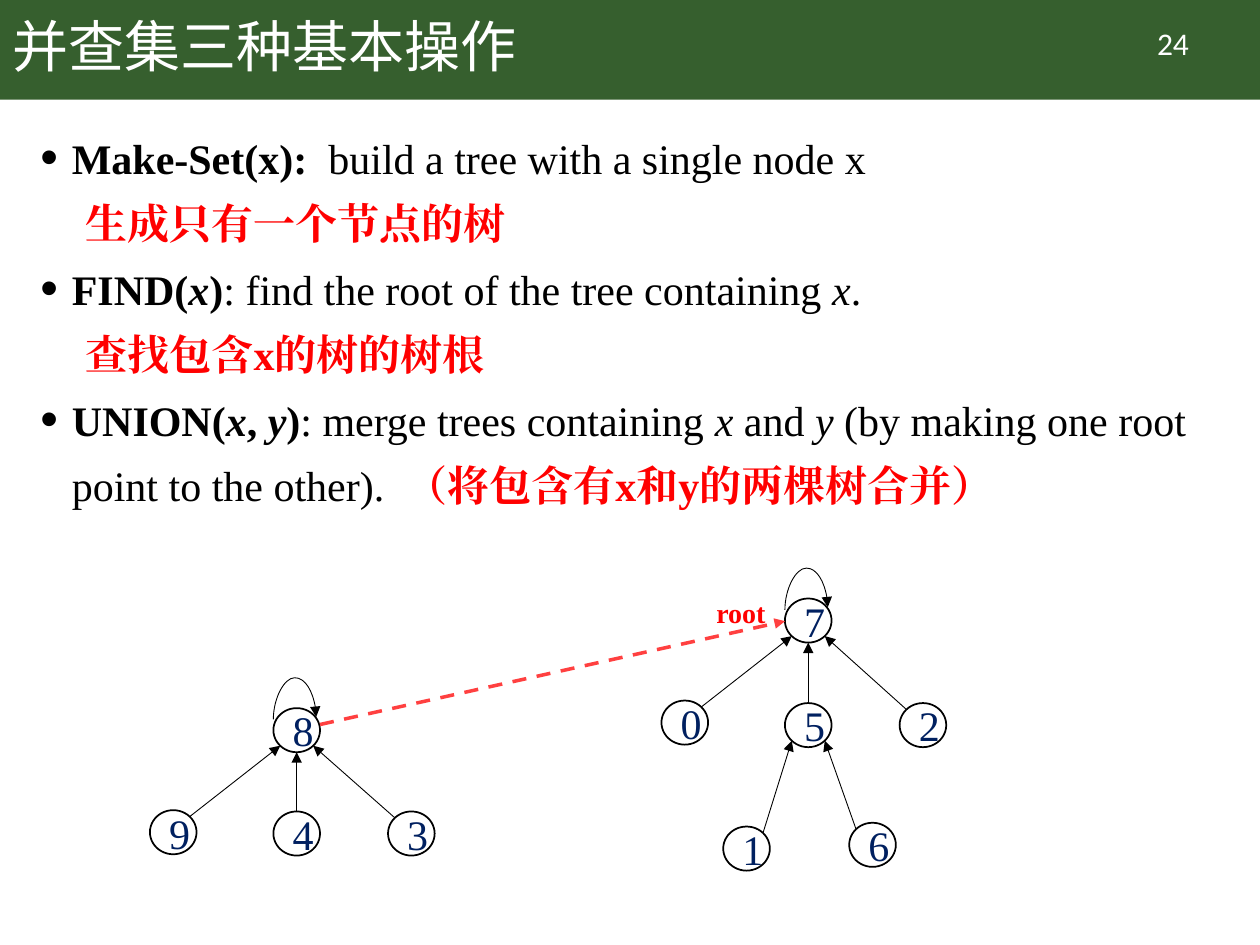
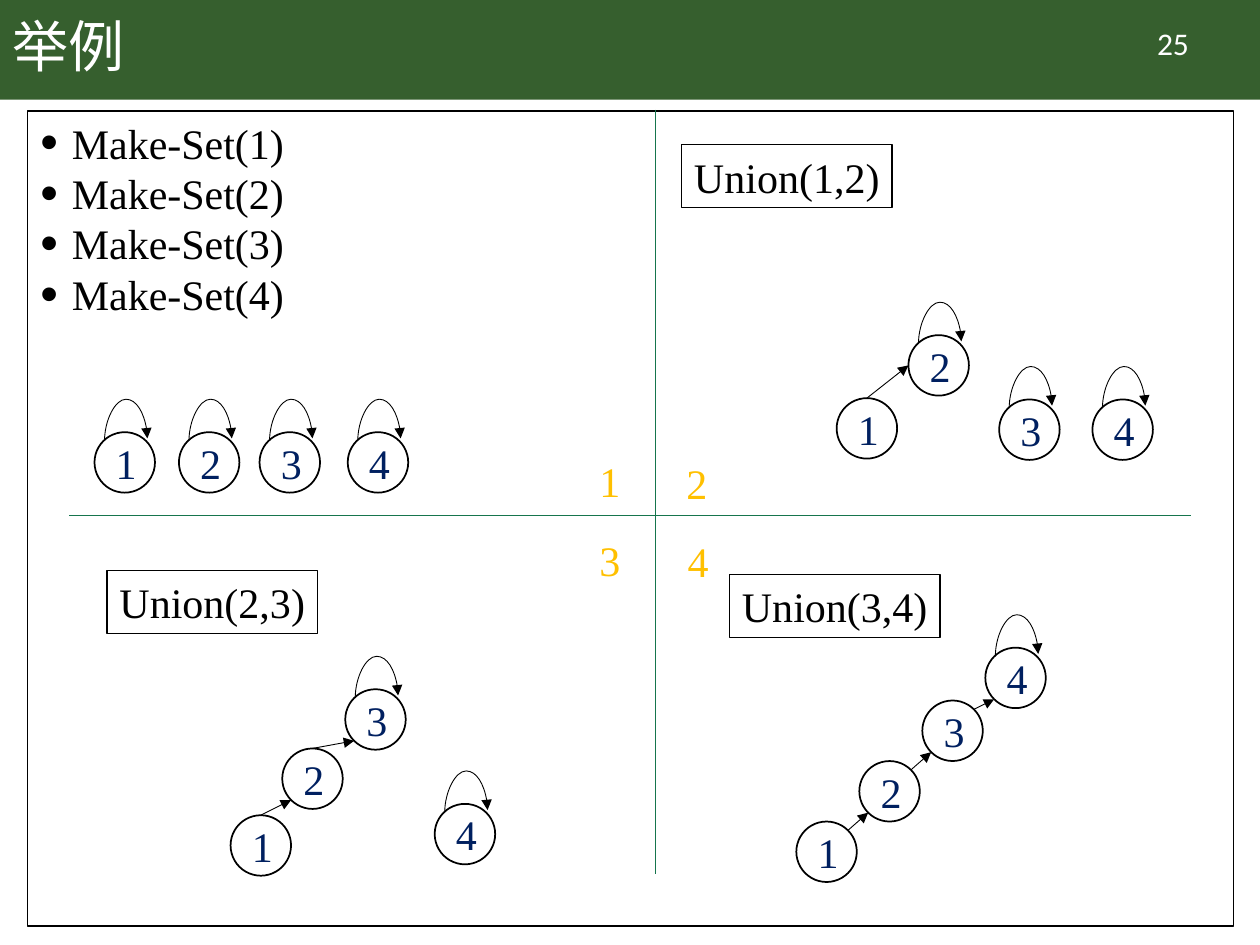
"""Builds two slides on the basic operations of disjoint-set trees."""
from dataclasses import dataclass

from lxml.etree import SubElement
from pptx import Presentation
from pptx.dml.color import RGBColor
from pptx.enum.dml import MSO_LINE
from pptx.enum.shapes import MSO_CONNECTOR, MSO_SHAPE
from pptx.enum.text import MSO_ANCHOR, MSO_AUTO_SIZE, PP_ALIGN
from pptx.oxml.ns import qn
from pptx.util import Inches, Pt


@dataclass(frozen=True)
class Theme:
    band: str = "365F2E"
    white: str = "FFFFFF"
    ink: str = "000000"
    red: str = "FF0000"
    link: str = "FF4040"
    node: str = "002060"
    divider: str = "16754D"
    quadrant: str = "FFC000"
    title_font: str = "Noto Sans CJK SC"
    text_font: str = "Times New Roman"
    number_font: str = "Calibri"
    title_size: int = 32
    text_size: int = 24
    number_size: int = 18
    root_size: int = 16


THEME = Theme()

TITLE_BOX = (0, 0, 8.62, 0.79)
BAND_BOX = (0, 0, 10, 0.79)
BODY_BOX = (0.22, 0.88, 9.57, 6.47)
NUMBER_BOX = (8.71, 0.14, 1.2, 0.4)

OPERATIONS = [
    (True, [("Make-Set(x):  ", "b"), ("build a tree with a single node x", "")]),
    (False, [("生成只有一个节点的树", "br")]),
    (True, [("FIND(", "b"), ("x", "bi"), (")", "b"),
            (": find the root of the tree containing ", ""), ("x", "i"), (".", "")]),
    (False, [("查找包含x的树的树根", "br")]),
    (True, [("UNION(", "b"), ("x", "bi"), (", ", "b"), ("y", "bi"), (")", "b"),
            (": merge trees containing ", ""), ("x ", "i"), ("and ", ""), ("y ", "i"),
            ("(by making one root point to the other).  ", ""),
            ("（将包含有x和y的两棵树合并）", "br")]),
]
MAKE_SETS = [(True, [(f"Make-Set({item})", "")]) for item in range(1, 5)]

SMALL_NODE = {"size": (0.37, 0.35), "loop": (0, 0.09)}
LARGE_NODE = {"size": (0.48, 0.48), "loop": (0.08, 0.07)}

MERGED_FORESTS = [
    {"nodes": {"8": (2.17, 5.62), "9": (1.19, 6.43), "4": (2.17, 6.44), "3": (3.08, 6.44)},
     "roots": "8",
     "edges": [("9", "ne", "8", "sw"), ("4", "n", "8", "s"), ("3", "nw", "8", "se")]},
    {"nodes": {"7": (6.23, 4.75), "0": (5.25, 5.56), "5": (6.23, 5.58),
               "2": (7.14, 5.58), "1": (5.74, 6.56), "6": (6.74, 6.53)},
     "roots": "7",
     "edges": [("0", "ne", "7", "sw"), ("5", "n", "7", "s"), ("2", "nw", "7", "se"),
               ("1", "ne", "5", "sw"), ("6", "nw", "5", "se")]},
]
UNION_LINK = ((2.54, 5.75), (6.23, 4.93))
ROOT_BOX = (5.58, 4.68, 0.6, 0.37)

EXAMPLE_FORESTS = [
    {"nodes": {"1": (0.75, 3.43), "2": (1.42, 3.43), "3": (2.06, 3.43), "4": (2.76, 3.43)},
     "roots": "1234", "edges": []},
    {"nodes": {"1": (6.64, 3.16), "2": (7.21, 2.66), "3": (7.93, 3.17), "4": (8.67, 3.17)},
     "roots": "234", "edges": [("1", "n", "2", "w")]},
    {"nodes": {"1": (1.83, 6.47), "2": (2.24, 5.94), "3": (2.74, 5.47), "4": (3.45, 6.38)},
     "roots": "34", "edges": [("1", "n", "2", "sw"), ("2", "n", "3", "sw")]},
    {"nodes": {"1": (6.32, 6.52), "2": (6.82, 6.04), "3": (7.32, 5.56), "4": (7.82, 5.14)},
     "roots": "4",
     "edges": [("1", "ne", "2", "sw"), ("2", "ne", "3", "sw"), ("3", "ne", "4", "sw")]},
]
UNION_LABELS = [("Union(1,2)", (5.41, 1.15)), ("Union(2,3)", (0.85, 4.53)),
                ("Union(3,4)", (5.79, 4.56))]
QUADRANTS = [("1", (4.66, 3.49)), ("2", (5.35, 3.5)), ("3", (4.66, 4.11)), ("4", (5.36, 4.12))]
DIVIDERS = [((0.55, 4.09), (9.45, 4.09)), ((5.2, 0.87), (5.2, 6.94))]


def color(code):
    """Turns a hex code into a colour."""
    return RGBColor.from_string(code)


def inches(values):
    """Turns numbers into lengths."""
    return [Inches(value) for value in values]


def place(shape, area):
    """Moves and sizes a placeholder."""
    shape.left, shape.top, shape.width, shape.height = inches(area)


def style(para, size=THEME.text_size, code=THEME.ink, name=THEME.text_font, bold=False):
    """Sets the font of a paragraph for Latin and Chinese text."""
    font = para.font
    font.size, font.name, font.bold = Pt(size), name, bold
    font.color.rgb = color(code)
    properties = para._p.pPr.find(qn("a:defRPr"))
    SubElement(properties, qn("a:ea")).set("typeface", name)


def set_indent(para, bulleted):
    """Gives a paragraph a hanging bullet or a plain indent."""
    properties = para._p.get_or_add_pPr()
    properties.set("marL", str(Inches(0.25 if bulleted else 0.36)))
    properties.set("indent", str(Inches(-0.25 if bulleted else 0)))
    if not bulleted:
        SubElement(properties, qn("a:buNone"))
        return
    tint = SubElement(properties, qn("a:buClr"))
    SubElement(tint, qn("a:srgbClr")).set("val", THEME.ink)
    SubElement(properties, qn("a:buSzPct")).set("val", "120000")
    SubElement(properties, qn("a:buChar")).set("char", "•")


def fill_body(body, lines, spacing):
    """Writes the list of a slide into its body placeholder."""
    place(body, BODY_BOX)
    frame = body.text_frame
    frame.auto_size = MSO_AUTO_SIZE.NONE
    for index, (bulleted, spans) in enumerate(lines):
        para = frame.add_paragraph() if index else frame.paragraphs[0]
        para.line_spacing, para.space_before = spacing, Pt(0)
        set_indent(para, bulleted)
        flags = spans[0][1] if len(spans) == 1 else ""
        style(para, code=THEME.red if "r" in flags else THEME.ink, bold="b" in flags)
        for text, marks in spans:
            span = para.add_run()
            span.text = text
            if len(spans) > 1:
                span.font.bold, span.font.italic = "b" in marks, "i" in marks
                if "r" in marks:
                    span.font.color.rgb = color(THEME.red)


def add_label(page, text, area, wrap=True, align=PP_ALIGN.LEFT, **font):
    """Adds a one-line text box."""
    box = page.shapes.add_textbox(*inches(area))
    frame = box.text_frame
    frame.word_wrap = wrap
    if not wrap:
        frame.auto_size = MSO_AUTO_SIZE.SHAPE_TO_FIT_TEXT
    para = frame.paragraphs[0]
    para.text, para.alignment = text, align
    style(para, **font)
    return box


def add_page(deck, title, number):
    """Adds a slide with the band, title and page number."""
    page = deck.slides.add_slide(deck.slide_layouts[1])
    band = page.shapes.add_shape(MSO_SHAPE.RECTANGLE, *inches(BAND_BOX))
    band.shadow.inherit = False
    band.fill.solid()
    band.fill.fore_color.rgb = color(THEME.band)
    band.line.fill.background()
    page.shapes._spTree.insert(2, band._element)
    heading = page.shapes.title
    place(heading, TITLE_BOX)
    frame = heading.text_frame
    frame.auto_size = MSO_AUTO_SIZE.NONE
    frame.vertical_anchor = MSO_ANCHOR.MIDDLE
    para = frame.paragraphs[0]
    para.text, para.alignment, para.line_spacing = title, PP_ALIGN.LEFT, 0.9
    style(para, THEME.title_size, THEME.white, THEME.title_font)
    add_label(page, number, NUMBER_BOX, align=PP_ALIGN.CENTER,
              size=THEME.number_size, code=THEME.white, name=THEME.number_font)
    return page


def add_line(page, start, end, code=THEME.ink, width=0.5, arrow=True,
             kind=MSO_CONNECTOR.STRAIGHT):
    """Adds a connector, with an arrowhead at its end if wanted."""
    line = page.shapes.add_connector(kind, *inches((*start, *end)))
    line.line.color.rgb, line.line.width = color(code), Pt(width)
    if arrow:
        SubElement(line.line._get_or_add_ln(), qn("a:tailEnd")).set("type", "triangle")
    SubElement(line._element.spPr, qn("a:effectLst"))
    return line


def add_loop(page, left, bottom, span=0.34, drop=0.02, rise=0.33):
    """Adds the curved arrow with which a root points to itself."""
    middle_x, middle_y = left + span / 2, bottom - drop / 2
    start = (middle_x - drop / 2, middle_y - span / 2)
    end = (middle_x + drop / 2, middle_y + span / 2)
    loop = add_line(page, start, end, kind=MSO_CONNECTOR.CURVE)
    frame = loop._element.spPr.find(qn("a:xfrm"))
    for key, value in (("rot", "5400000"), ("flipH", "1"), ("flipV", "1")):
        frame.set(key, value)
    guide = SubElement(next(loop._element.iter(qn("a:avLst"))), qn("a:gd"))
    guide.set("name", "adj1")
    guide.set("fmla", f"val {round(rise / drop * 100000)}")


def rim_point(corner, size, side):
    """Finds the point of an ellipse that faces a compass direction."""
    reach = 0.5 if len(side) == 1 else 0.5 * 0.5 ** 0.5
    across = ("e" in side) - ("w" in side)
    down = ("s" in side) - ("n" in side)
    return (corner[0] + size[0] * (0.5 + across * reach),
            corner[1] + size[1] * (0.5 + down * reach))


def add_forest(page, forest, look):
    """Draws the nodes, parent arrows and root loops of a forest."""
    nodes, size = forest["nodes"], look["size"]
    for label, corner in nodes.items():
        node = page.shapes.add_shape(MSO_SHAPE.OVAL, *inches((*corner, *size)))
        node.shadow.inherit = False
        node.fill.background()
        node.line.color.rgb, node.line.width = color(THEME.ink), Pt(1)
        node.text_frame.vertical_anchor = MSO_ANCHOR.MIDDLE
        para = node.text_frame.paragraphs[0]
        para.text, para.alignment = label, PP_ALIGN.CENTER
        style(para, code=THEME.node)
    for child, child_side, parent, parent_side in forest["edges"]:
        add_line(page, rim_point(nodes[child], size, child_side),
                 rim_point(nodes[parent], size, parent_side))
    for root in forest["roots"]:
        add_loop(page, *(at + shift for at, shift in zip(nodes[root], look["loop"])))


def build_operations(deck):
    """Builds the slide that defines the three operations."""
    page = add_page(deck, "并查集三种基本操作", "24")
    fill_body(page.placeholders[1], OPERATIONS, 1.3)
    for forest in MERGED_FORESTS:
        add_forest(page, forest, SMALL_NODE)
    add_label(page, "root", ROOT_BOX, wrap=False, align=PP_ALIGN.CENTER,
              size=THEME.root_size, code=THEME.red, bold=True)
    link = add_line(page, *UNION_LINK, code=THEME.link, width=2, arrow=False)
    link.line.dash_style = MSO_LINE.DASH
    SubElement(link.line._get_or_add_ln(), qn("a:tailEnd")).set("type", "triangle")


def build_example(deck):
    """Builds the slide that works through four steps."""
    page = add_page(deck, "举例", "25")
    body = page.placeholders[1]
    fill_body(body, MAKE_SETS, 1.0)
    body.line.color.rgb, body.line.width = color(THEME.ink), Pt(0.75)
    for start, end in DIVIDERS:
        add_line(page, start, end, code=THEME.divider, arrow=False)
    for text, corner in QUADRANTS:
        box = add_label(page, text, (*corner, 0.6, 0.7), code=THEME.quadrant)
        box.text_frame.paragraphs[0].line_spacing = 1.2
    for text, corner in UNION_LABELS:
        box = add_label(page, text, (*corner, 1.67, 0.5), wrap=False)
        box.line.color.rgb, box.line.width = color(THEME.ink), Pt(0.75)
    for forest in EXAMPLE_FORESTS:
        add_forest(page, forest, LARGE_NODE)


def main():
    """Builds and saves the deck."""
    deck = Presentation()
    deck.slide_width, deck.slide_height = Inches(10), Inches(7.5)
    build_operations(deck)
    build_example(deck)
    deck.save("out.pptx")


if __name__ == "__main__":
    main()
